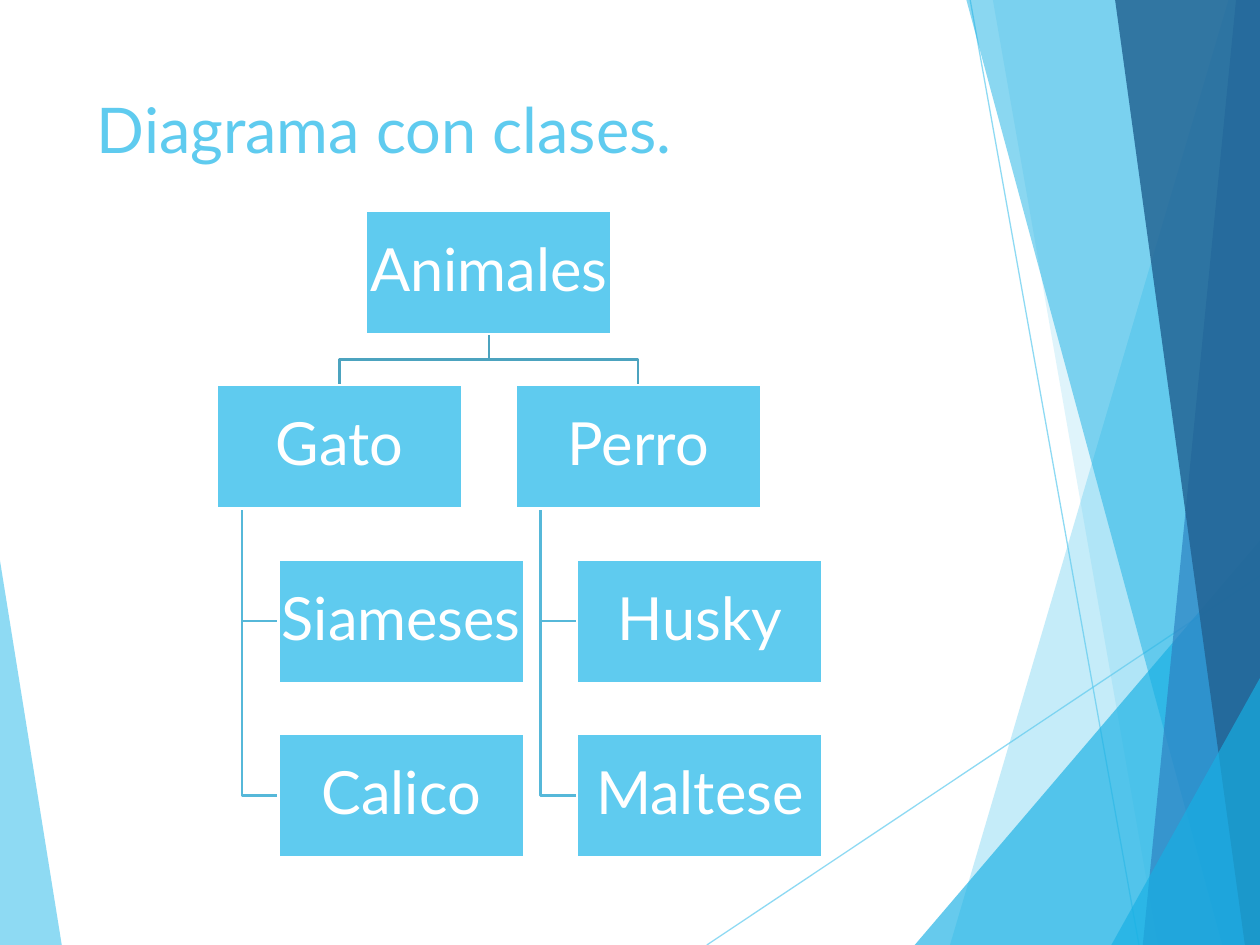
import pptx
import pptx.util
import pptx.dml.color
import pptx.enum.shapes
import pptx.enum.text
import pptx.oxml.ns
from lxml import etree

Inches, Pt = pptx.util.Inches, pptx.util.Pt

COLORS = {
    "sky": "5FCBEF", "cyan": "17B0E4", "blue": "2E83C3", "navy": "226292",
    "trunk": "4CA3BF", "branch": "56B8D9", "white": "FFFFFF",
}
FONT = "Lato"
TITLE = "Diagrama con clases."
ROOT = "Animales"
CLASSES = [("Gato", ["Siameses", "Calico"]), ("Perro", ["Husky", "Maltese"])]

# Background: (colour, opacity in percent, corners)
LEFT_FACET = ("sky", 70, [(0, 4.45), (0.49, 7.5), (0, 7.5)])
RAYS = [((5.61, 7.5), (10, 4.57)), ((7.7, 0), (9.04, 7.5))]
RIGHT_FACETS = [
    ("sky", 36, [(9.75, 0), (7.54, 7.5), (10, 7.5), (10, 0)]),
    ("sky", 20, [(7.88, 0), (9.19, 7.5), (10, 7.5), (10, 0)]),
    ("cyan", 66, [(7.26, 7.5), (10, 4.29), (10, 7.5)]),
    ("cyan", 50, [(7.67, 0), (9.7, 7.5), (10, 7.5), (10, 0)]),
    ("blue", 70, [(9.81, 0), (9.07, 7.5), (10, 7.5), (10, 0)]),
    ("navy", 82, [(8.85, 0), (9.88, 7.5), (10, 7.5), (10, 0)]),
    ("cyan", 66, [(8.82, 7.5), (10, 5.38), (10, 7.5)]),
]

# Tree layout in inches
BOX_W, BOX_H = 1.95, 0.98
TREE_LEFT, TREE_TOP = 1.72, 1.67
COLUMN_STEP, ROW_STEP = 2.37, 1.385
CHILD_INDENT, STEM_INDENT = 0.49, 0.2


def rgb(name):
    return pptx.dml.color.RGBColor.from_string(COLORS[name])


def set_opacity(fill, percent):
    color = fill._xPr.find(".//" + pptx.oxml.ns.qn("a:srgbClr"))
    etree.SubElement(color, pptx.oxml.ns.qn("a:alpha"), val=str(percent * 1000))


def add_path(page, points, close):
    start, *rest = [(Inches(x), Inches(y)) for x, y in points]
    builder = page.shapes.build_freeform(*start)
    builder.add_line_segments(rest, close=close)
    shape = builder.convert_to_shape()
    shape.shadow.inherit = False
    return shape


def add_facet(page, color, opacity, corners):
    facet = add_path(page, corners, close=True)
    facet.fill.solid()
    facet.fill.fore_color.rgb = rgb(color)
    set_opacity(facet.fill, opacity)
    facet.line.fill.background()


def add_ray(page, start, end):
    ray = page.shapes.add_connector(
        pptx.enum.shapes.MSO_CONNECTOR.STRAIGHT,
        *(Inches(value) for value in start + end))
    ray.line.color.rgb = rgb("sky")
    ray.line.width = Pt(0.75)
    set_opacity(ray.line.fill, 70)
    etree.SubElement(ray._element.spPr, pptx.oxml.ns.qn("a:effectLst"))


def add_link(page, color, points):
    link = add_path(page, points, close=False)
    link.fill.background()
    link.line.color.rgb = rgb(color)
    link.line.width = Pt(1.5)


def write(frame, text, size, color):
    frame.word_wrap = True
    frame.text = text
    para = frame.paragraphs[0]
    font = para.runs[0].font
    font.name, font.size, font.color.rgb = FONT, Pt(size), rgb(color)
    return para


def add_box(page, text, left, top):
    box = page.shapes.add_shape(
        pptx.enum.shapes.MSO_SHAPE.RECTANGLE,
        Inches(left), Inches(top), Inches(BOX_W), Inches(BOX_H))
    box.shadow.inherit = False
    box.fill.solid()
    box.fill.fore_color.rgb = rgb("sky")
    box.line.color.rgb = rgb("white")
    box.line.width = Pt(1.5)
    frame = box.text_frame
    frame.margin_left = frame.margin_right = Inches(0.02)
    frame.margin_top = frame.margin_bottom = Inches(0.02)
    frame.vertical_anchor = pptx.enum.text.MSO_ANCHOR.MIDDLE
    para = write(frame, text, 34, "white")
    para.alignment = pptx.enum.text.PP_ALIGN.CENTER
    para.line_spacing = 0.9


def add_tree(page):
    """Draw all links first so that the boxes lie on top of them."""
    root_left = TREE_LEFT + COLUMN_STEP / 2
    root_x = root_left + BOX_W / 2
    root_bottom = TREE_TOP + BOX_H
    class_top = TREE_TOP + ROW_STEP
    elbow_y = (root_bottom + class_top) / 2
    boxes = [(ROOT, root_left, TREE_TOP)]
    for column, (name, children) in enumerate(CLASSES):
        left = TREE_LEFT + column * COLUMN_STEP
        center = left + BOX_W / 2
        stem_x, child_left = left + STEM_INDENT, left + CHILD_INDENT
        boxes.append((name, left, class_top))
        add_link(page, "trunk", [(root_x, root_bottom), (root_x, elbow_y),
                                 (center, elbow_y), (center, class_top)])
        for row, child in enumerate(children, start=1):
            top = class_top + row * ROW_STEP
            middle = top + BOX_H / 2
            boxes.append((child, child_left, top))
            add_link(page, "branch", [(stem_x, class_top + BOX_H),
                                      (stem_x, middle), (child_left, middle)])
    for box in boxes:
        add_box(page, *box)


def main():
    deck = pptx.Presentation()
    deck.slide_width, deck.slide_height = Inches(10), Inches(7.5)
    page = deck.slides.add_slide(deck.slide_layouts[6])
    add_facet(page, *LEFT_FACET)
    for ray in RAYS:
        add_ray(page, *ray)
    for facet in RIGHT_FACETS:
        add_facet(page, *facet)
    title = page.shapes.add_textbox(
        Inches(0.67), Inches(0.67), Inches(6.94), Inches(1.44))
    write(title.text_frame, TITLE, 36, "sky")
    add_tree(page)
    deck.save("out.pptx")


if __name__ == "__main__":
    main()
